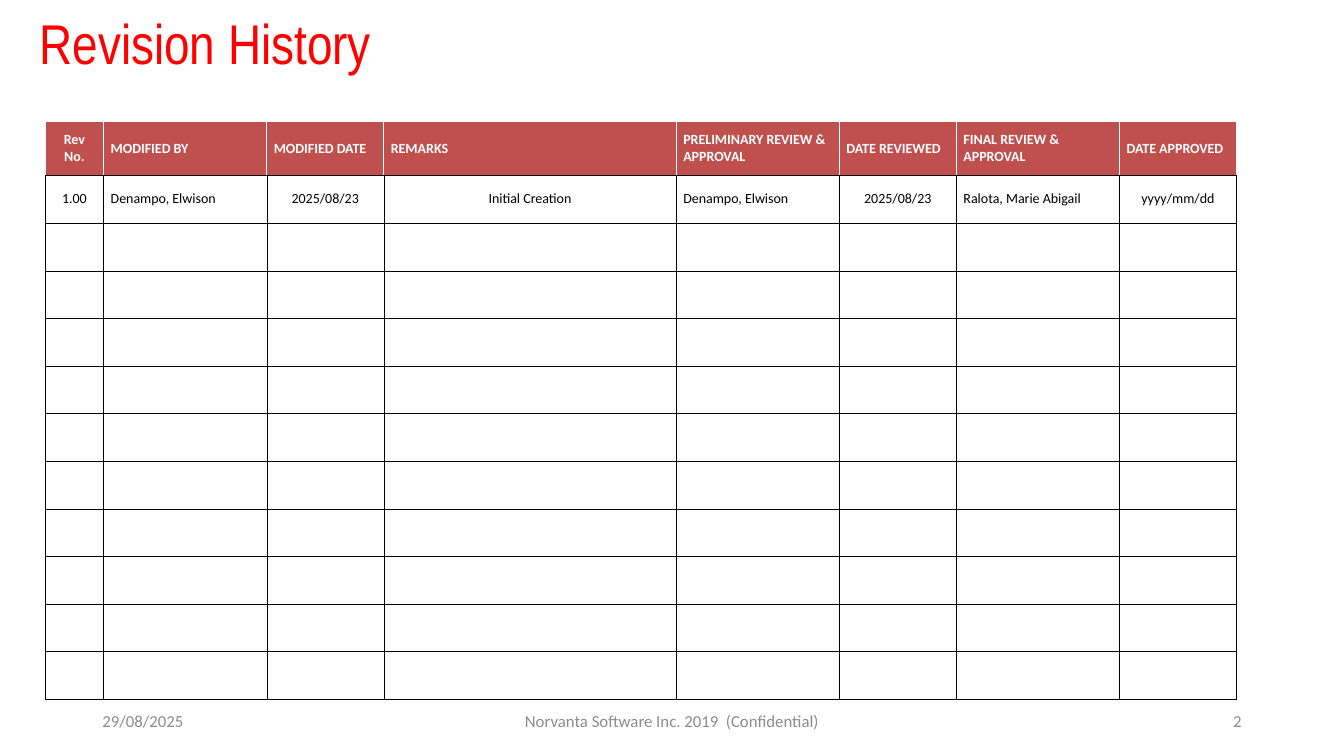
from dataclasses import dataclass

from lxml import etree
from pptx import Presentation
from pptx.dml.color import RGBColor
from pptx.enum.text import MSO_ANCHOR, MSO_AUTO_SIZE, PP_ALIGN
from pptx.oxml.ns import qn
from pptx.util import Cm, Pt

LEFT, CENTER, RIGHT = PP_ALIGN.LEFT, PP_ALIGN.CENTER, PP_ALIGN.RIGHT
MIDDLE = MSO_ANCHOR.MIDDLE
NO_AUTOFIT = MSO_AUTO_SIZE.NONE
TITLE_ONLY = 5
COLORS = {
    "title": "FF0000",
    "header": "C0504D",
    "white": "FFFFFF",
    "black": "000000",
    "footer": "8C8C8C",
}
BODY_ROWS = 11
HEADER_HEIGHT, ROW_HEIGHT = 1.35, 1.2


@dataclass(frozen=True)
class Column:
    heading: str
    entry: str
    width: float
    heading_alignment: PP_ALIGN = LEFT
    entry_alignment: PP_ALIGN = CENTER


@dataclass(frozen=True)
class FooterItem:
    text: str
    left: float
    width: float
    alignment: PP_ALIGN


COLUMNS = [
    Column("Rev No.", "1.00", 1.47, heading_alignment=CENTER),
    Column("MODIFIED BY", "Denampo, Elwison", 4.11, entry_alignment=LEFT),
    Column("MODIFIED DATE", "2025/08/23", 2.95),
    Column("REMARKS", "Initial Creation", 7.37),
    Column("PRELIMINARY REVIEW & APPROVAL", "Denampo, Elwison", 4.11, entry_alignment=LEFT),
    Column("DATE REVIEWED", "2025/08/23", 2.95),
    Column("FINAL REVIEW & APPROVAL", "Ralota, Marie Abigail", 4.11, entry_alignment=LEFT),
    Column("DATE APPROVED", "yyyy/mm/dd", 2.95),
]
FOOTER_ITEMS = [
    FooterItem("29/08/2025", 2.33, 7.62, LEFT),
    FooterItem("Norvanta Software Inc. 2019  (Confidential)", 11.22, 11.43, CENTER),
    FooterItem("2", 23.92, 7.62, RIGHT),
]


def write_text(text_frame, text: str, size: float, color: str, alignment: PP_ALIGN,
               font_name: str = "Calibri", bold: bool = False) -> None:
    """Fill a text frame with one formatted paragraph."""
    text_frame.text = text
    text_frame.word_wrap = True
    paragraph = text_frame.paragraphs[0]
    paragraph.alignment = alignment
    paragraph.font.size = Pt(size)
    for run in paragraph.runs:
        run.font.name = font_name
        run.font.size = Pt(size)
        run.font.bold = bold
        run.font.color.rgb = RGBColor.from_string(COLORS[color])


def add_border(cell, side: str, color: str, width: float) -> None:
    """Draw one side of a cell's border."""
    properties = cell._tc.get_or_add_tcPr()
    line = etree.SubElement(properties, qn(f"a:ln{side}"), w=str(Pt(width)))
    fill = etree.SubElement(line, qn("a:solidFill"))
    etree.SubElement(fill, qn("a:srgbClr"), val=COLORS[color])


def format_cell(cell, text: str, alignment: PP_ALIGN, is_header: bool) -> None:
    """Write a cell and give it its borders, margins and fill."""
    write_text(cell.text_frame, text, 10, "white" if is_header else "black",
               alignment, bold=is_header)
    cell.vertical_anchor = MIDDLE
    cell.margin_left = cell.margin_right = Cm(0.18)
    cell.margin_top = cell.margin_bottom = Cm(0.1)
    for side in "LRTB":
        if is_header and side != "B":
            add_border(cell, side, "white", 1)
        else:
            add_border(cell, side, "black", 0.25)
    cell.fill.solid()
    cell.fill.fore_color.rgb = RGBColor.from_string(COLORS["header" if is_header else "white"])


def add_title(slide) -> None:
    """Place and format the title placeholder."""
    title = slide.shapes.title
    title.left, title.top, title.width, title.height = Cm(0.74), Cm(0.28), Cm(30.78), Cm(1.78)
    text_frame = title.text_frame
    write_text(text_frame, "Revision History", 40, "title", LEFT, "Arial Narrow")
    text_frame.auto_size = NO_AUTOFIT
    text_frame.vertical_anchor = MIDDLE
    text_frame.paragraphs[0].line_spacing = 0.9
    text_frame.paragraphs[0].space_before = Pt(10)


def add_revision_table(slide) -> None:
    """Build the revision table with one entry and empty rows below."""
    width = sum(column.width for column in COLUMNS)
    height = HEADER_HEIGHT + BODY_ROWS * ROW_HEIGHT
    table = slide.shapes.add_table(BODY_ROWS + 1, len(COLUMNS), Cm(1.14), Cm(3.07),
                                   Cm(width), Cm(height)).table
    table.horz_banding = False
    for index, row in enumerate(table.rows):
        row.height = Cm(ROW_HEIGHT if index else HEADER_HEIGHT)
    for column_index, column in enumerate(COLUMNS):
        table.columns[column_index].width = Cm(column.width)
        format_cell(table.cell(0, column_index), column.heading, column.heading_alignment, True)
        for row_index in range(1, BODY_ROWS + 1):
            text = column.entry if row_index == 1 else ""
            format_cell(table.cell(row_index, column_index), text, column.entry_alignment, False)


def add_footer_item(slide, item: FooterItem) -> None:
    """Add one text box of the footer line."""
    box = slide.shapes.add_textbox(Cm(item.left), Cm(17.65), Cm(item.width), Cm(1.01))
    write_text(box.text_frame, item.text, 12, "footer", item.alignment)
    box.text_frame.vertical_anchor = MIDDLE


def main() -> None:
    """Build and save the revision history slide."""
    presentation = Presentation()
    presentation.slide_width, presentation.slide_height = Cm(33.87), Cm(19.05)
    slide = presentation.slides.add_slide(presentation.slide_layouts[TITLE_ONLY])
    for item in FOOTER_ITEMS:
        add_footer_item(slide, item)
    add_title(slide)
    add_revision_table(slide)
    presentation.save("out.pptx")


if __name__ == "__main__":
    main()
